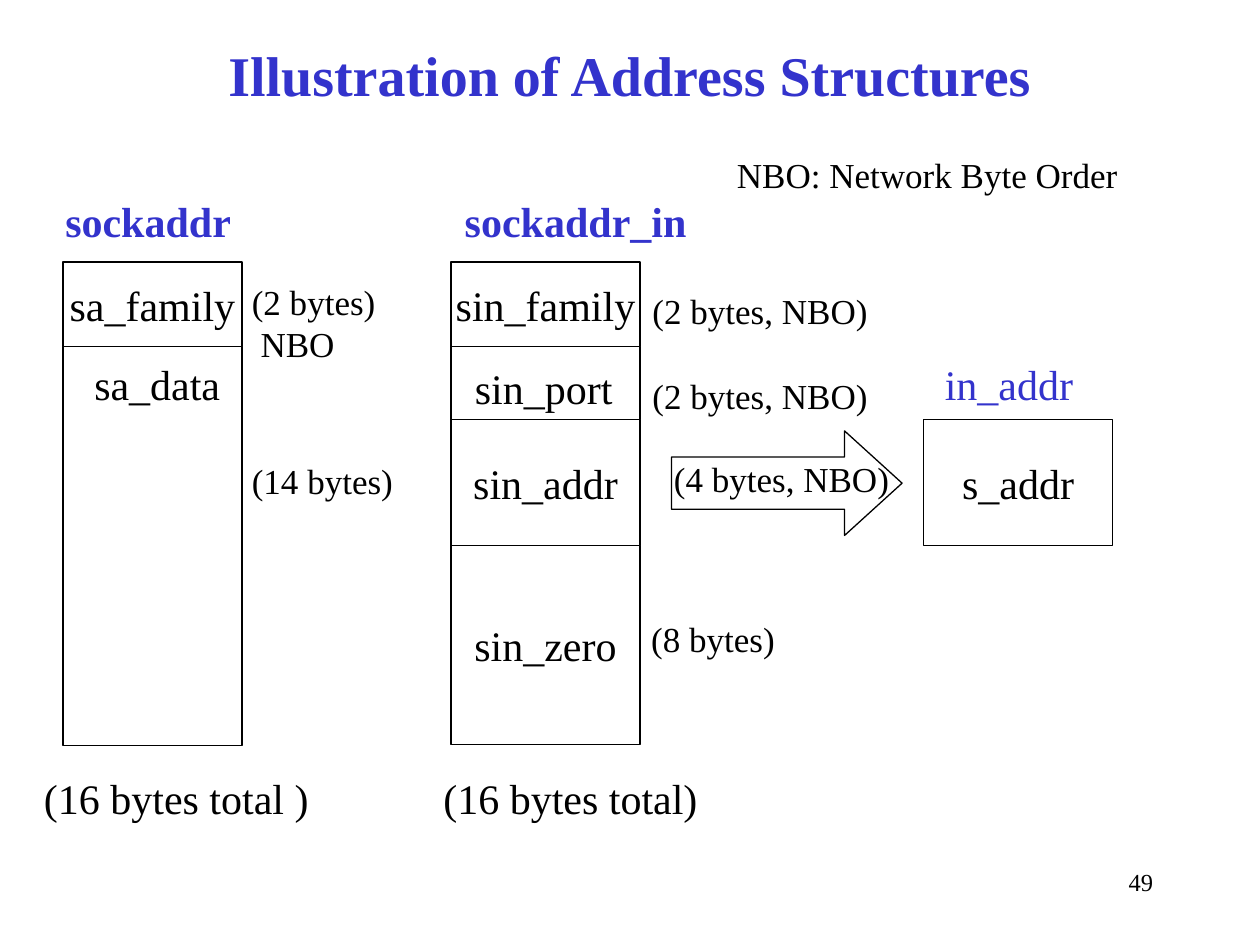
from pptx import Presentation
from pptx.dml.color import RGBColor
from pptx.enum.shapes import MSO_SHAPE
from pptx.enum.text import MSO_ANCHOR, PP_ALIGN
from pptx.util import Inches, Pt

BLACK = RGBColor(0x00, 0x00, 0x00)
WHITE = RGBColor(0xFF, 0xFF, 0xFF)
BLUE = RGBColor(0x33, 0x33, 0xCC)
FONT = "Times New Roman"


def write_line(para, text, size, color=BLACK, bold=False, align=PP_ALIGN.LEFT):
    """Put one run of styled text into a paragraph."""
    para.alignment = align
    span = para.add_run()
    span.text = text
    span.font.name = FONT
    span.font.size = Pt(size)
    span.font.bold = bold
    span.font.color.rgb = color


def add_label(page, left, top, width, height, lines, size=20, color=BLACK,
              bold=False, align=PP_ALIGN.LEFT, wrap=False, anchor=MSO_ANCHOR.TOP):
    """Add a text box with one paragraph for each line."""
    box = page.shapes.add_textbox(Inches(left), Inches(top), Inches(width), Inches(height))
    frame = box.text_frame
    frame.word_wrap = wrap
    frame.vertical_anchor = anchor
    for index, line in enumerate(lines):
        para = frame.add_paragraph() if index else frame.paragraphs[0]
        write_line(para, line, size, color, bold, align)


def add_outline(page, kind, left, top, width, height):
    """Add a white shape with a thin black outline."""
    shape = page.shapes.add_shape(kind, Inches(left), Inches(top), Inches(width), Inches(height))
    shape.shadow.inherit = False
    shape.fill.solid()
    shape.fill.fore_color.rgb = WHITE
    shape.line.color.rgb = BLACK
    shape.line.width = Pt(0.75)
    return shape


def add_fields(page, left, top, width, fields):
    """Stack the fields of a structure, each a name and a height."""
    for name, height in fields:
        field = add_outline(page, MSO_SHAPE.RECTANGLE, left, top, width, height)
        if name:
            frame = field.text_frame
            frame.word_wrap = False
            frame.vertical_anchor = MSO_ANCHOR.MIDDLE
            write_line(frame.paragraphs[0], name, 24, align=PP_ALIGN.CENTER)
        top += height


def add_heading(page, left, top, width):
    """Add the slide title and the abbreviation note below it."""
    add_label(page, left, top, width, 0.67, ["Illustration of Address Structures"], 32, BLUE,
              bold=True, align=PP_ALIGN.CENTER, wrap=True, anchor=MSO_ANCHOR.MIDDLE)
    add_label(page, left + 5, top + 0.92, 3.78, 0.44, ["NBO: Network Byte Order"], wrap=True)


def add_sockaddr(page, left, top, width):
    """Draw the generic address structure with its sizes."""
    add_label(page, left - 0.08, top - 0.58, 1.6, 0.5, ["sockaddr"], 24, BLUE,
              bold=True, wrap=True)
    add_fields(page, left, top, width, [("sa_family", 0.67), ("", 3.17)])
    add_label(page, left + 0.15, top + 0.72, 1.26, 0.5, ["sa_data"], 24, wrap=True)
    add_label(page, left + 1.4, top + 0.1, 1.18, 0.77, ["(2 bytes)", " NBO"])
    add_label(page, left + 1.4, top + 1.52, 1.32, 0.44, ["(14 bytes)"])
    add_label(page, left - 0.25, top + 4, 2.5, 0.5, ["(16 bytes total )"], 24, wrap=True)


def add_sockaddr_in(page, left, top, width):
    """Draw the internet address structure with its sizes."""
    add_label(page, left + 0.01, top - 0.58, 1.96, 0.5, ["sockaddr_in"], 24, BLUE, bold=True)
    add_fields(page, left, top, width,
               [("sin_family", 0.67), ("", 0.58), ("sin_addr", 1), ("sin_zero", 1.58)])
    add_label(page, left + 0.09, top + 0.75, 1.29, 0.5, ["sin_port"], 24)
    for offset in (0.17, 0.84):
        add_label(page, left + width, top + offset, 1.91, 0.44, ["(2 bytes, NBO)"])
    add_label(page, left + width - 0.01, top + 2.77, 1.18, 0.44, ["(8 bytes)"])
    add_label(page, left - 0.16, top + 4, 2.22, 0.5, ["(16 bytes total)"], 24)


def add_in_addr(page, left, top, width):
    """Draw the nested address structure and the arrow leading to it."""
    add_label(page, left + 0.07, top - 0.53, 1.22, 0.5, ["in_addr"], 24, BLUE)
    add_fields(page, left, top, width, [("s_addr", 1)])
    arrow = add_outline(page, MSO_SHAPE.RIGHT_ARROW, left - 2, top + 0.09, 1.83, 0.83)
    arrow.adjustments[0] = 0.5
    arrow.adjustments[1] = 0.55
    add_label(page, left - 2.08, top + 0.25, 1.91, 0.44, ["(4 bytes, NBO)"])


def main():
    """Build the slide and save it."""
    deck = Presentation()
    deck.slide_width = Inches(10)
    deck.slide_height = Inches(7.5)
    page = deck.slides.add_slide(deck.slide_layouts[6])
    add_heading(page, 0.75, 0.25, 8.5)
    add_sockaddr(page, 0.5, 2.08, 1.42)
    add_sockaddr_in(page, 3.58, 2.08, 1.5)
    add_in_addr(page, 7.33, 3.33, 1.5)
    add_label(page, 7.17, 6.83, 2.08, 0.5, ["49"], 14, align=PP_ALIGN.RIGHT, wrap=True)
    deck.save("out.pptx")


if __name__ == "__main__":
    main()
